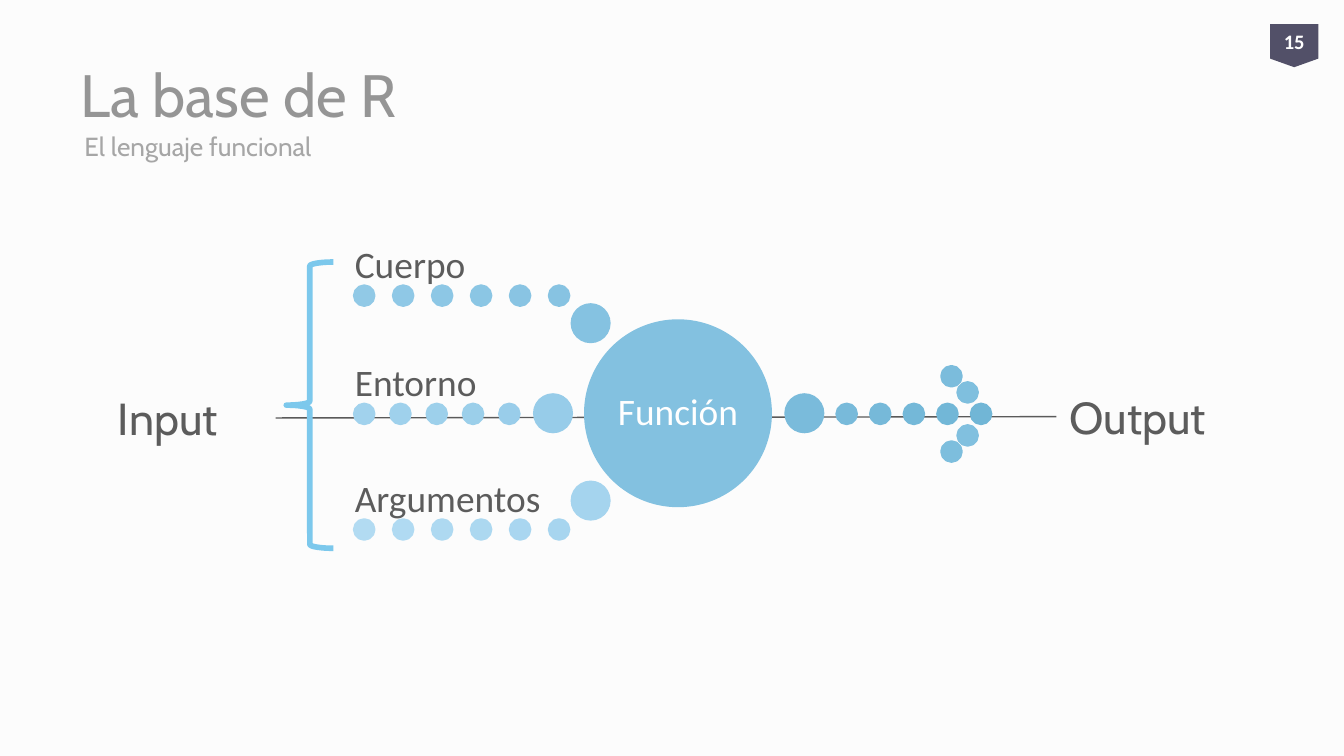
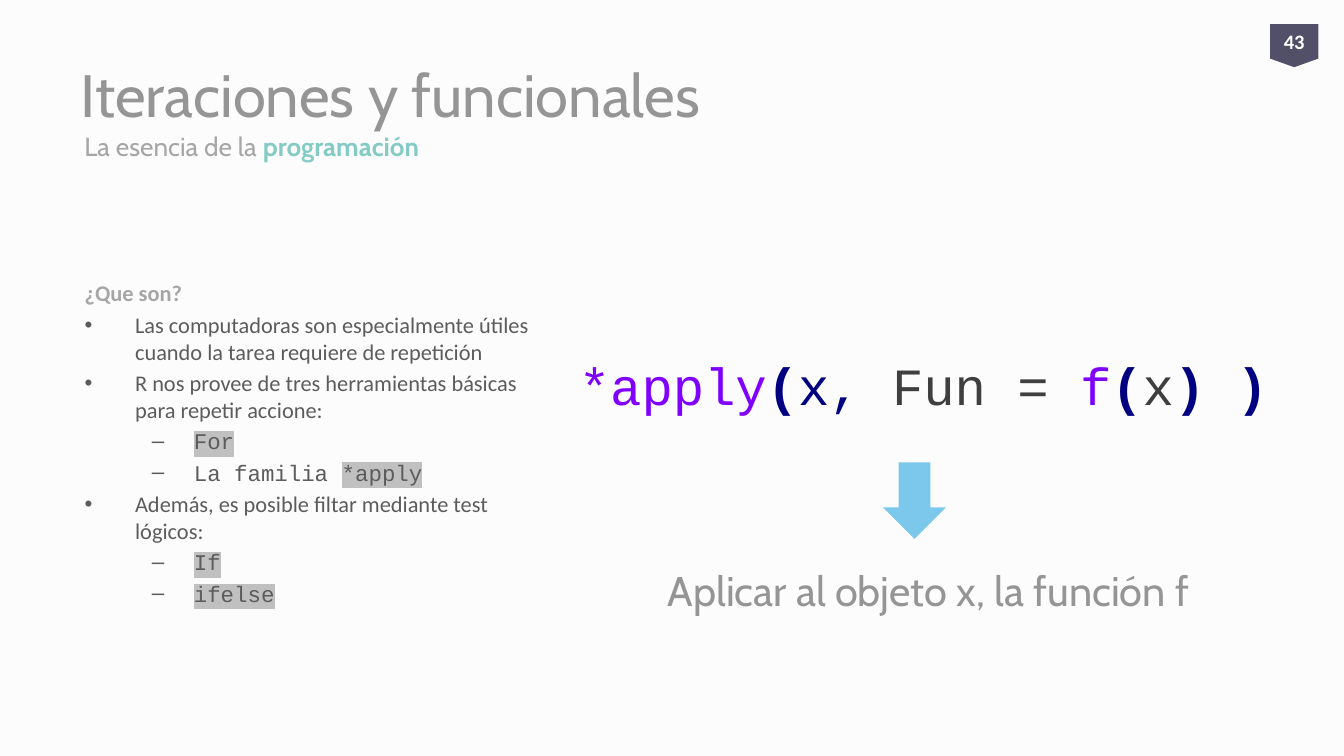
from lxml import etree
from pptx import Presentation
from pptx.dml.color import RGBColor
from pptx.enum.shapes import MSO_CONNECTOR, MSO_SHAPE
from pptx.enum.text import MSO_ANCHOR, MSO_AUTO_SIZE, PP_ALIGN
from pptx.oxml.ns import qn
from pptx.util import Pt

PX = 9144  # 100 px to the inch
LEFT, CENTER = PP_ALIGN.LEFT, PP_ALIGN.CENTER
TOP, MIDDLE, BOTTOM = MSO_ANCHOR.TOP, MSO_ANCHOR.MIDDLE, MSO_ANCHOR.BOTTOM
OVAL, BRACE, ARROW = MSO_SHAPE.OVAL, MSO_SHAPE.LEFT_BRACE, MSO_SHAPE.DOWN_ARROW
BADGE = MSO_SHAPE.FLOWCHART_OFFPAGE_CONNECTOR
STRAIGHT = MSO_CONNECTOR.STRAIGHT
FIXED, GROW = MSO_AUTO_SIZE.NONE, MSO_AUTO_SIZE.SHAPE_TO_FIT_TEXT

HEAD, BODY, MONO = "Cabin", "Calibri", "Courier New"
GREY, PALE, DARK, INK = "959595", "A6A6A6", "5C5C5C", "3F3F3F"
WHITE, PLUM, TEAL, SKY = "FFFFFF", "525068", "84CBC5", "7CC8EC"
NAVY, VIOLET, MARK = "000080", "8000FF", "C0C0C0"
rgb = RGBColor.from_string


def add(slide, at, kind=None, fill=None, rim=0):
    """Add a filled shape, or a wrapping text box when no kind is given."""
    at = [n * PX for n in at]
    if kind is None:
        item = slide.shapes.add_textbox(*at)
        item.text_frame.word_wrap = True
    else:
        item = slide.shapes.add_shape(kind, *at)
        item.shadow.inherit = False
        item.fill.solid()
        item.fill.fore_color.rgb = rgb(fill)
        if rim:
            item.line.color.rgb = rgb(fill)
            item.line.width = Pt(rim)
        else:
            item.line.fill.background()
    item.text_frame.vertical_anchor = MIDDLE
    return item


def write(para, text, size, font, tint, bold=False, mark=None):
    """Add one run, with an optional highlight colour."""
    run = para.add_run()
    run.text = text
    run.font.size = Pt(size)
    run.font.name = font
    run.font.bold = bold
    run.font.color.rgb = rgb(tint)
    if mark:
        glow = etree.Element(qn("a:highlight"))
        etree.SubElement(glow, qn("a:srgbClr")).set("val", mark)
        run.font._element.find(qn("a:solidFill")).addnext(glow)


prs = Presentation()
prs.slide_width, prs.slide_height = 1000 * PX, 5625 * PX // 10
paper = prs.slide_master.background.fill
paper.solid()
paper.fore_color.rgb = rgb("FCFCFC")

# Title, subtitle and page badge
pages = [
    (5, "La base de R", 883, "15", [("El lenguaje funcional", PALE, False)]),
    (1, "Iteraciones y funcionales", 900, "43",
     [("La esencia de la ", PALE, False), ("programación", TEAL, True)]),
]
for layout, head, width, num, sub in pages:
    slide = prs.slides.add_slide(prs.slide_layouts[layout])
    title = slide.shapes.title
    title.left, title.top = 50 * PX, 23 * PX
    title.width, title.height = width * PX, 94 * PX
    frame = title.text_frame
    frame.auto_size = FIXED
    frame.vertical_anchor = MIDDLE
    frame.paragraphs[0].alignment = LEFT
    write(frame.paragraphs[0], head, 32, HEAD, GREY)
    para = add(slide, (53, 89, 900, 40)).text_frame.paragraphs[0]
    for text, tint, bold in sub:
        write(para, text, 14, HEAD, tint, bold)
    badge = add(slide, (945, 18, 36, 32), BADGE, PLUM).text_frame
    badge.margin_left = badge.margin_right = 0
    badge.paragraphs[0].alignment = CENTER
    write(badge.paragraphs[0], num, 11, BODY, WHITE, True)

# Slide 1: flow from input to output
flow, loops = prs.slides
line = flow.shapes.add_connector(STRAIGHT, 205 * PX, 312 * PX, 786 * PX, 310 * PX)
line.line.color.rgb = rgb("5A5A5A")
line.line.width = Pt(0.75)
etree.SubElement(line._element.spPr, qn("a:effectLst"))
ends = []
for text, x, y in [("Input", 78, 282), ("Output", 786, 281)]:
    end = add(flow, (x, y, 127, 58))
    write(end.text_frame.paragraphs[0], text, 24, HEAD, DARK)
    ends.append(end)
line.begin_connect(ends[0], 3)
line.end_connect(ends[1], 1)

# Rows of small dots: left, top, step, colours
rows = [
    (264, 213, 29, "91C9E6 8FC8E6 8DC7E5 8BC6E4 89C4E3 87C3E2"),
    (264, 301, 27, "A1D2ED 9FD1EC 9DD0EB 9BCFEA 99CDEA"),
    (264, 387, 29, "B2DBF2 B0DAF2 AED9F1 ACD8F0 A9D6F0 A7D5EF"),
    (623, 301, 25, "78BADA 76B9D9 74B8D8 72B7D7 71B6D6"),
]
dots = [(x + i * step, y, 14, tint) for x, y, step, tints in rows
        for i, tint in enumerate(tints.split())]
dots += [
    (701, 273, 14, "7BBCDC"), (701, 329, 14, "7DBEDD"),
    (713, 285, 14, "7FBFDE"), (713, 317, 14, "81C0DF"),
    (426, 227, 27, "85C2E1"), (398, 294, 27, "97CCE9"),
    (426, 359, 27, "A5D4EE"), (585, 294, 27, "7ABBDB"),
    (436, 239, 137, "83C1E0"),
]
for x, y, size, tint in dots:
    add(flow, (x, y, size, size), OVAL, tint, 2)

labels = [
    ("Cuerpo", (264, 178, 159, 35), 0, BOTTOM, LEFT, DARK),
    ("Entorno", (264, 266, 120, 35), 0, BOTTOM, LEFT, DARK),
    ("Argumentos", (264, 352, 159, 35), 0, BOTTOM, LEFT, DARK),
    ("Función", (456, 259, 97, 97), 3, MIDDLE, CENTER, WHITE),
]
for text, at, pad, anchor, align, tint in labels:
    frame = add(flow, at).text_frame
    frame.margin_left = frame.margin_right = pad * PX
    frame.margin_top = frame.margin_bottom = pad * PX
    frame.vertical_anchor = anchor
    para = frame.paragraphs[0]
    para.alignment = align
    para.line_spacing = 0.9
    write(para, text, 20, BODY, tint)

brace = add(flow, (213, 195, 35, 213), BRACE, SKY, 3)
brace.fill.background()

# Slide 2: list, code and its meaning
points = [
    (0, [("¿Que son?", BODY, PALE, True)]),
    (0, [("Las computadoras son especialmente útiles cuando la tarea "
          "requiere de repetición", BODY, DARK)]),
    (0, [("R nos provee de tres herramientas básicas para repetir accione:",
          BODY, DARK)]),
    (1, [("For", MONO, DARK, False, MARK)]),
    (1, [("La familia ", MONO, DARK), ("*apply", MONO, DARK, False, MARK)]),
    (0, [("Además, es posible filtar mediante test lógicos:", BODY, DARK)]),
    (1, [("If", MONO, DARK, False, MARK)]),
    (1, [("ifelse", MONO, DARK, False, MARK)]),
]
body = loops.placeholders[1]
body.left, body.top = 53 * PX, 203 * PX
body.width, body.height = 366 * PX, 307 * PX
frame = body.text_frame
frame.auto_size = FIXED
frame.vertical_anchor = TOP
for i, (level, runs) in enumerate(points):
    para = frame.add_paragraph() if i else frame.paragraphs[0]
    para.level = level
    if i == 0:
        props = para._p.get_or_add_pPr()
        props.set("marL", "0")
        props.set("indent", "0")
        etree.SubElement(props, qn("a:buNone"))
    para.space_before = Pt(2.4 if i else 0)
    for text, font, *look in runs:
        write(para, text, 12, font, *look)

code = add(loops, (421, 258, 546, 57)).text_frame
code.auto_size = GROW
code.vertical_anchor = TOP
for text, tint, bold in [
    ("*apply", VIOLET, False), ("(", NAVY, True), ("x, ", NAVY, False),
    ("Fun = ", INK, False), ("f", VIOLET, False), ("(", NAVY, True),
    ("x", INK, False), (") )", NAVY, True),
]:
    write(code.paragraphs[0], text, 28, MONO, tint, bold)

note = add(loops, (487, 410, 409, 58)).text_frame
write(note.paragraphs[0], "Aplicar al objeto x, la función f", 22.2, HEAD, GREY)
add(loops, (657, 344, 47, 57), ARROW, SKY)

prs.save("out.pptx")
